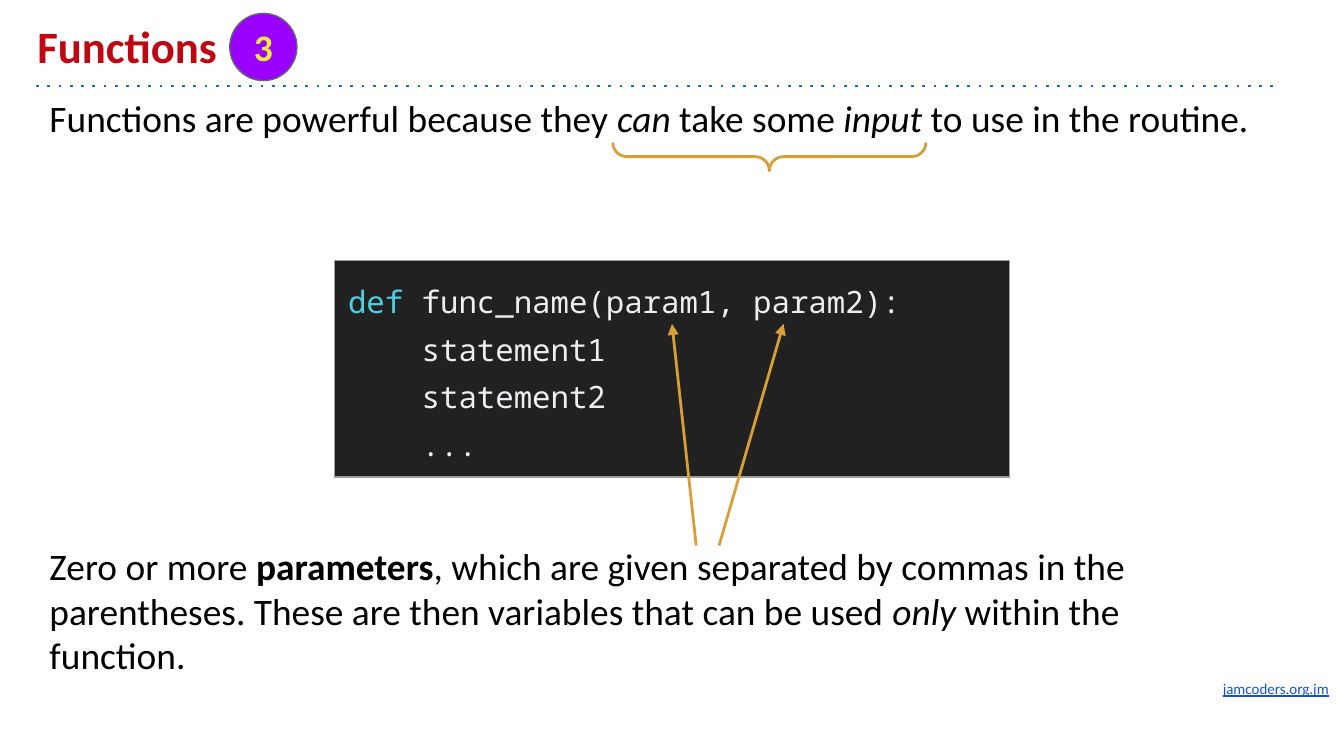
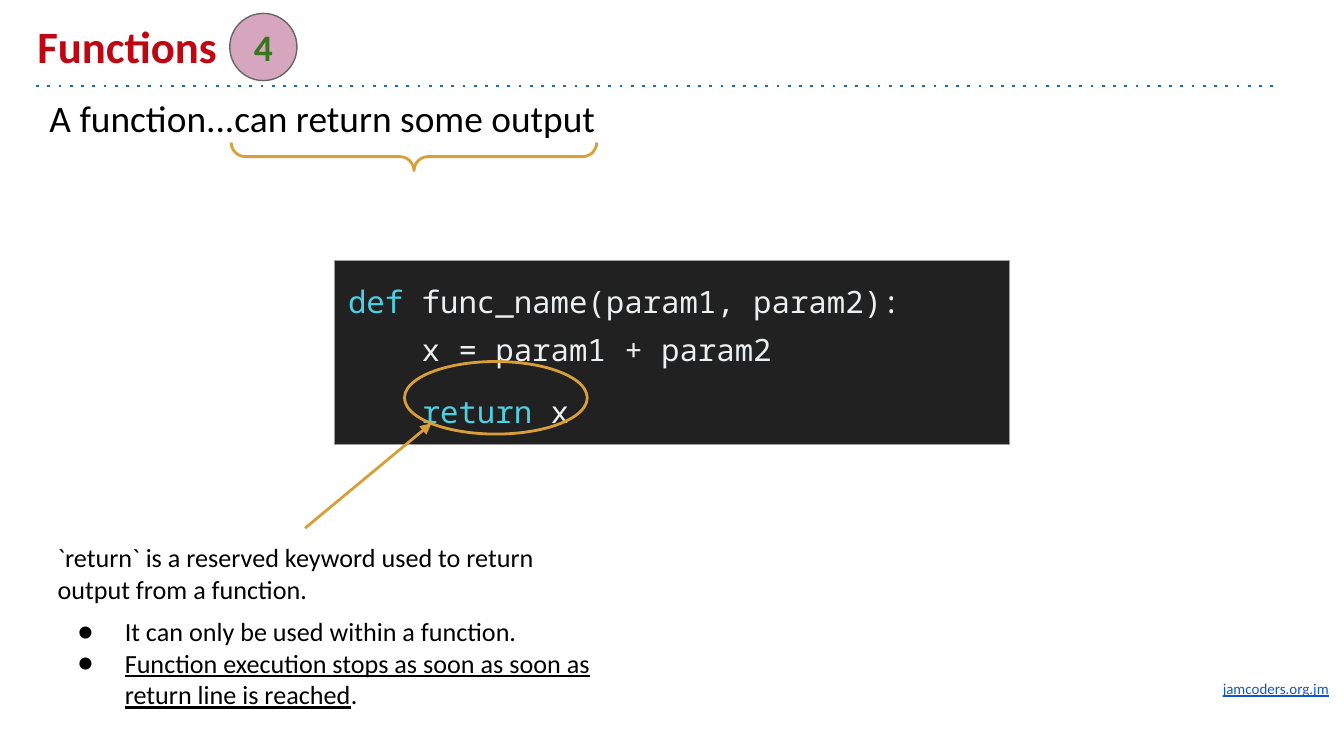
import pptx
import pptx.dml.color
import pptx.enum.shapes
import pptx.enum.text
import pptx.oxml.ns
import pptx.util
from lxml import etree
from pptx.util import Inches, Pt

SHAPES = pptx.enum.shapes.MSO_SHAPE
ANCHOR = pptx.enum.text.MSO_ANCHOR
ALIGN = pptx.enum.text.PP_ALIGN
BLACK, GOLD, RED, BLUE = "000000", "D89F39", "BE0712", "1072BD"
LINK, GREY = "1155CC", "666666"
CODE_BACK, CODE_BORDER, CODE_TEXT, CODE_KEYWORD = "212121", "9E9E9E", "ECEFF1", "4DD0E1"
BODY_LEFT, BODY_WIDTH = 0.27, 9.23
CODE_LEFT, CODE_TOP, CODE_WIDTH = 2.49, 1.94, 5.02


def color(value):
    return pptx.dml.color.RGBColor.from_string(value)


def child(parent, tag, **attributes):
    return etree.SubElement(parent, pptx.oxml.ns.qn(tag), **attributes)


def add_span(para, text, size=20, font="Calibri", ink=BLACK, bold=False, italic=False, underline=False):
    span = para.add_run()
    span.text = text
    span.font.size = Pt(size)
    span.font.name = font
    span.font.color.rgb = color(ink)
    span.font.bold = bold
    span.font.italic = italic
    span.font.underline = underline


def next_para(frame):
    first = frame.paragraphs[0]
    return first if not first.runs else frame.add_paragraph()


def set_frame(frame, anchor):
    frame.word_wrap = True
    frame.vertical_anchor = anchor
    frame.margin_left = frame.margin_right = Inches(0.1)
    frame.margin_top = frame.margin_bottom = Inches(0.1)


def add_box(page, box, anchor=ANCHOR.TOP):
    frame = page.shapes.add_textbox(*map(Inches, box)).text_frame
    set_frame(frame, anchor)
    return frame


def add_outline(page, kind, box, line=GOLD, width=1.5, fill=None):
    shape = page.shapes.add_shape(kind, *map(Inches, box))
    shape.shadow.inherit = False
    if fill:
        shape.fill.solid()
        shape.fill.fore_color.rgb = color(fill)
    else:
        shape.fill.background()
    shape.line.color.rgb = color(line)
    shape.line.width = Pt(width)
    return shape


def add_line(page, start, end, tag, value, ink=GOLD):
    line = page.shapes.add_connector(pptx.enum.shapes.MSO_CONNECTOR.STRAIGHT, *map(Inches, start + end))
    line.line.color.rgb = color(ink)
    line.line.width = Pt(1.5)
    outline = line._element.spPr.find(pptx.oxml.ns.qn("a:ln"))
    child(outline, tag, **value)
    child(line._element.spPr, "a:effectLst")


def add_arrow(page, start, end):
    add_line(page, start, end, "a:tailEnd", {"type": "triangle"})


def add_brace(page, box):
    left, top, width, height = box
    upright = (left + (width - height) / 2, top + (height - width) / 2, height, width)
    brace = add_outline(page, SHAPES.LEFT_BRACE, upright)
    brace.rotation = 270
    brace.adjustments[0] = brace.adjustments[1] = 0.5


def add_frame_parts(page):
    footer = add_box(page, (9, 4.99, 1.1, 0.34))
    add_span(footer.paragraphs[0], "jamcoders.org.jm", size=8, ink=LINK, underline=True)
    start, end = (BODY_LEFT, 0.64), (BODY_LEFT + BODY_WIDTH, 0.64)
    add_line(page, start, end, "a:prstDash", {"val": "dot"}, BLUE)


def add_heading(page, box, number, fill, ink):
    left, top, width, height = box
    title = add_box(page, box, ANCHOR.BOTTOM)
    add_span(title.paragraphs[0], "Functions", size=24, ink=RED, bold=True)
    badge = add_outline(page, SHAPES.OVAL, (left + 1.53, top, 0.5, 0.5), GREY, 0.75, fill)
    set_frame(badge.text_frame, ANCHOR.MIDDLE)
    para = badge.text_frame.paragraphs[0]
    para.alignment = ALIGN.CENTER
    add_span(para, number, ink=ink, bold=True)


def add_sentence(page, box, spans):
    para = add_box(page, box).paragraphs[0]
    for text, style in spans:
        add_span(para, text, **style)


def add_code(page, box, lines, last_spacing=1.15):
    table = page.shapes.add_table(1, 1, *map(Inches, box)).table
    table.first_row = table.horz_banding = False
    cell = table.cell(0, 0)
    properties = cell._tc.get_or_add_tcPr()
    for side in ("L", "R", "T", "B"):
        border = child(properties, "a:ln" + side, w=str(Pt(0.75)))
        child(child(border, "a:solidFill"), "a:srgbClr", val=CODE_BORDER)
    cell.fill.solid()
    cell.fill.fore_color.rgb = color(CODE_BACK)
    cell.vertical_anchor = ANCHOR.MIDDLE
    cell.margin_left = cell.margin_right = Inches(0.1)
    cell.margin_top = cell.margin_bottom = Inches(0.1)
    for line in lines:
        para = next_para(cell.text_frame)
        para.line_spacing = last_spacing if line is lines[-1] else 1.15
        for text in line:
            ink = CODE_KEYWORD if text in ("def", "return") else CODE_TEXT
            add_span(para, text, size=16.5, font="Noto Sans Mono", ink=ink)


def add_bullet(frame, spans, before=0):
    para = frame.add_paragraph()
    properties = para._p.get_or_add_pPr()
    properties.set("marL", str(Inches(0.5)))
    properties.set("indent", str(Inches(-0.35)))
    child(child(properties, "a:buClr"), "a:srgbClr", val=BLACK)
    child(properties, "a:buSzPts", val="1400")
    child(properties, "a:buFont", typeface="Calibri")
    child(properties, "a:buChar", char="●")
    para.space_before = Pt(before)
    for text, underline in spans:
        add_span(para, text, size=14, underline=underline)


def add_return_notes(page, box):
    frame = add_box(page, box)
    add_span(
        frame.paragraphs[0],
        "`return` is a reserved keyword used to return output from a function.",
        size=14,
    )
    add_bullet(frame, [("It can only be used within a function.", False)], before=6)
    add_bullet(frame, [
        ("Function execution stops as soon as soon as return line is reached", True),
        (".", False),
    ])


def start_page(deck, number, fill, ink):
    page = deck.slides.add_slide(deck.slide_layouts[6])
    add_frame_parts(page)
    add_heading(page, (0.18, 0.1, 9, 0.54), number, fill, ink)
    return page


def build_input_page(deck):
    page = start_page(deck, "3", "9900FF", "FFEB38")
    add_sentence(page, (BODY_LEFT, 0.61, BODY_WIDTH, 0.54), [
        ("Functions are powerful because they ", {}),
        ("can", {"italic": True}),
        (" take some ", {}),
        ("input", {"italic": True}),
        (" to use in the routine.", {}),
    ])
    add_sentence(page, (BODY_LEFT, 3.94, BODY_WIDTH, 1.21), [
        ("Zero or more ", {}),
        ("parameters", {"bold": True}),
        (", which are given separated by commas in the parentheses. "
         "These are then variables that can be used ", {}),
        ("only", {"italic": True}),
        (" within the function.", {}),
    ])
    add_brace(page, (4.56, 1.06, 2.33, 0.21))
    add_code(page, (CODE_LEFT, CODE_TOP, CODE_WIDTH, 1.61), [
        ["def", " func_name(param1, param2):"],
        ["    statement1"],
        ["    statement2"],
        ["    ..."],
    ])
    for start, end in ((5.18, 5), (5.35, 5.83)):
        add_arrow(page, (start, 4.06), (end, 2.41))


def build_output_page(deck):
    page = start_page(deck, "4", "D5A6BD", "38761D")
    add_sentence(page, (BODY_LEFT, 0.61, BODY_WIDTH, 0.54), [("A function...can return some output", {})])
    add_brace(page, (1.72, 1.06, 2.72, 0.21))
    add_code(page, (CODE_LEFT, CODE_TOP, CODE_WIDTH, 1.37), [
        ["def", " func_name(param1, param2):"],
        ["    x = param1 + param2"],
        ["    ", "return", " x"],
    ], last_spacing=1.5)
    add_outline(page, SHAPES.OVAL, (3.01, 2.69, 1.36, 0.54))
    add_arrow(page, (2.27, 3.93), (3.21, 3.15))
    add_return_notes(page, (0.33, 3.93, 4.25, 1.46))


def main():
    deck = pptx.Presentation()
    deck.slide_width = Inches(10)
    deck.slide_height = deck.slide_width * 9 // 16
    build_input_page(deck)
    build_output_page(deck)
    deck.save("out.pptx")


if __name__ == "__main__":
    main()
